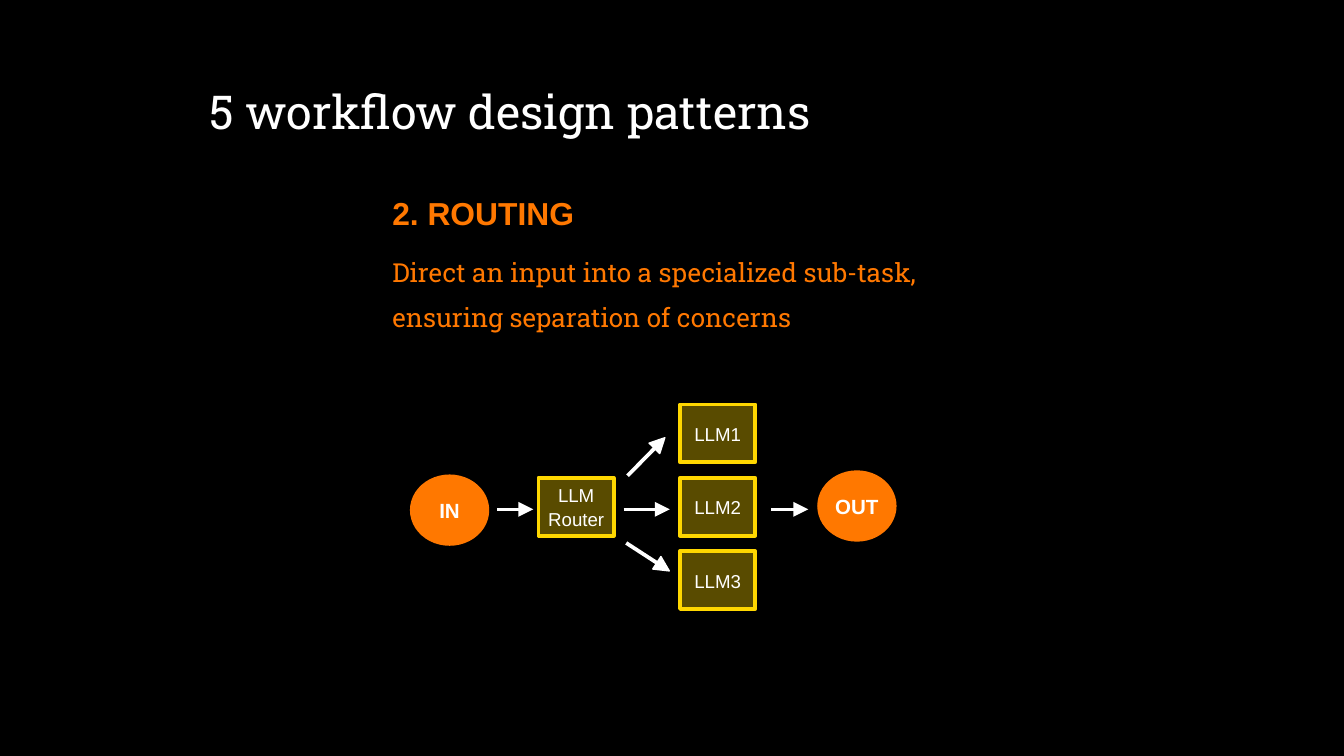
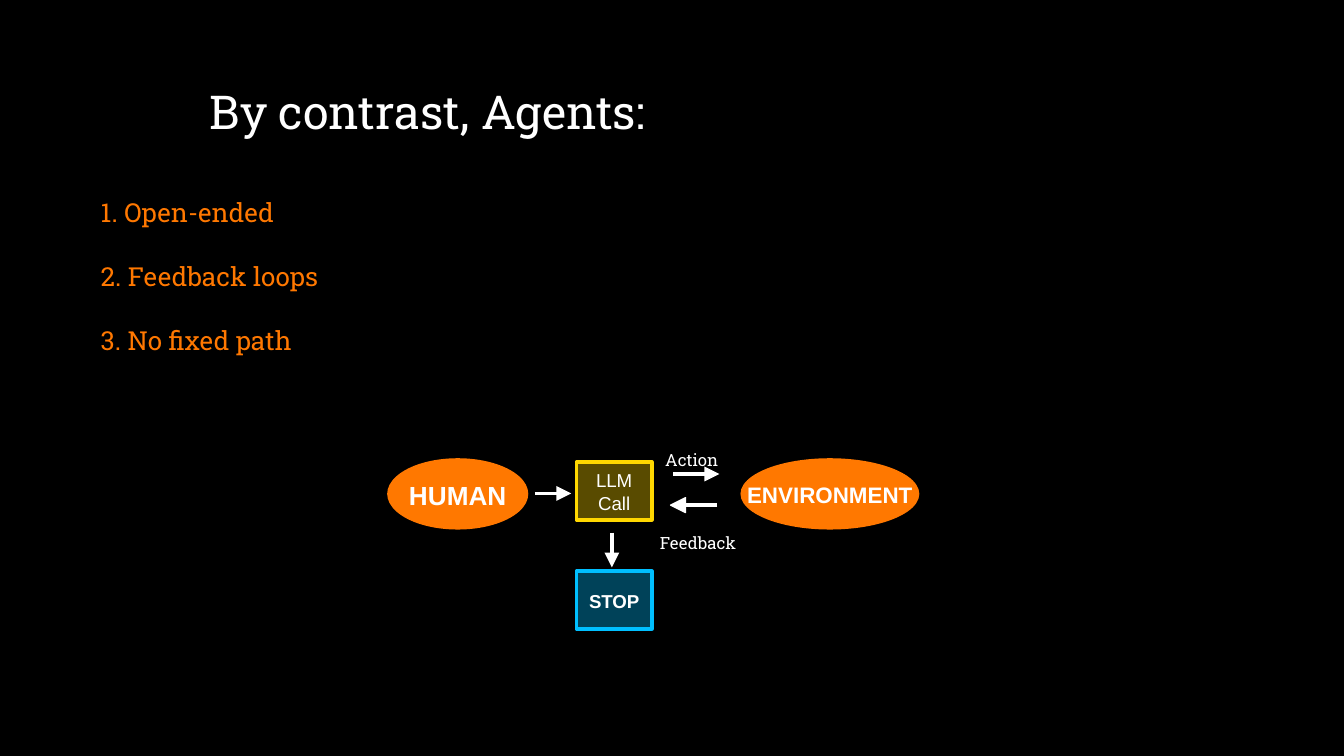
from dataclasses import dataclass
from math import atan2, degrees

from lxml.etree import SubElement
from pptx import Presentation
from pptx.dml.color import RGBColor
from pptx.enum.shapes import MSO_CONNECTOR, MSO_SHAPE
from pptx.enum.text import MSO_ANCHOR, PP_ALIGN
from pptx.oxml.ns import qn
from pptx.util import Pt


@dataclass(frozen=True)
class Theme:
    black: str = "000000"
    white: str = "FFFFFF"
    orange: str = "FF7800"
    gold: str = "FFD700"
    blue: str = "00BFFF"
    serif: str = "Roboto Slab"
    sans: str = "Arial"
    title: int = 25
    heading: int = 17
    body: int = 14
    node: int = 11
    wide_node: int = 12
    box: int = 10
    note: int = 9
    line: float = 2
    outline: float = 0.75
    tint: int = 35


class Slides:
    box_width, box_height = 40.3, 31
    oval_height = 38.2
    head = 8

    def __init__(self, theme):
        self.theme = theme
        self.deck = Presentation()
        self.deck.slide_width, self.deck.slide_height = Pt(720), Pt(405)
        self.page = None

    def start(self, title):
        self.page = self.deck.slides.add_slide(self.deck.slide_layouts[6])
        fill = self.page.background.fill
        fill.solid()
        fill.fore_color.rgb = RGBColor.from_string(self.theme.black)
        self.text(title, 112.3, 40.3, 582.5, 28, self.theme.title,
                  color=self.theme.white, spacing=1.14)

    def fill_text(self, shape, text, size, color, font, bold, spacing):
        frame = shape.text_frame
        frame.margin_left = frame.margin_right = 0
        frame.margin_top = frame.margin_bottom = 0
        para = frame.paragraphs[0]
        para.text = text
        para.line_spacing = spacing
        para.font.size = Pt(size)
        para.font.name = font
        para.font.bold = bold
        para.font.color.rgb = RGBColor.from_string(color)
        return para

    def text(self, text, left, top, width, height, size, color=None,
             font=None, bold=False, spacing=1.42):
        box = self.page.shapes.add_textbox(Pt(left), Pt(top), Pt(width), Pt(height))
        box.text_frame.word_wrap = True
        self.fill_text(box, text, size, color or self.theme.orange,
                       font or self.theme.serif, bold, spacing)

    def shape(self, kind, left, top, width, height, color):
        shape = self.page.shapes.add_shape(kind, Pt(left), Pt(top), Pt(width), Pt(height))
        shape.shadow.inherit = False
        shape.fill.solid()
        shape.fill.fore_color.rgb = RGBColor.from_string(color)
        shape.line.fill.background()
        return shape

    def outline(self, shape, color, width):
        shape.line.color.rgb = RGBColor.from_string(color)
        shape.line.width = Pt(width)

    def label(self, shape, text, size, bold):
        shape.text_frame.word_wrap = False
        shape.text_frame.vertical_anchor = MSO_ANCHOR.MIDDLE
        para = self.fill_text(shape, text, size, self.theme.white,
                              self.theme.sans, bold, 1.05)
        para.alignment = PP_ALIGN.CENTER

    def oval(self, text, left, top, width, size):
        shape = self.shape(MSO_SHAPE.OVAL, left, top, width, self.oval_height,
                           self.theme.orange)
        self.label(shape, text, size, True)

    def box(self, text, left, top, color=None, bold=False):
        color = color or self.theme.gold
        shape = self.shape(MSO_SHAPE.RECTANGLE, left, top,
                           self.box_width, self.box_height, color)
        tone = shape._element.spPr.find(qn("a:solidFill"))[0]
        SubElement(tone, qn("a:alpha"), val=str(self.theme.tint * 1000))
        self.outline(shape, color, self.theme.line)
        self.label(shape, text, self.theme.box, bold)

    def arrow(self, x1, y1, x2, y2, outlined=False):
        line = self.page.shapes.add_connector(
            MSO_CONNECTOR.STRAIGHT, Pt(x1), Pt(y1), Pt(x2), Pt(y2))
        self.outline(line, self.theme.white, self.theme.line)
        SubElement(line._element.spPr, qn("a:effectLst"))
        tip = self.shape(MSO_SHAPE.ISOSCELES_TRIANGLE, x2 - self.head / 2,
                         y2 - self.head / 2, self.head, self.head, self.theme.white)
        tip.rotation = degrees(atan2(y2 - y1, x2 - x1)) + 90
        if outlined:
            self.outline(tip, self.theme.white, self.theme.outline)


def routing(slides):
    theme = slides.theme
    slides.start("5 workflow design patterns")
    slides.text("2. ROUTING", 210.2, 103, 283.7, 18, theme.heading,
                font=theme.sans, bold=True, spacing=1.05)
    slides.text("Direct an input into a specialized sub-task,\vensuring separation of concerns",
                210.2, 130.3, 283.7, 32.4, theme.body)
    slides.oval("IN", 219.6, 254.2, 42.5, theme.node)
    slides.oval("OUT", 437.8, 252, 42.5, theme.node)
    slides.box("LLM\vRouter", 288.5, 256)
    for row in range(3):
        slides.box(f"LLM{row + 1}", 364.3, 216.7 + row * 39.3)
    for start, end in ((266.4, 281.7), (334.1, 354.8), (413.3, 429)):
        slides.arrow(start, 272.9, end, 272.9)
    slides.arrow(336.2, 254.9, 353.4, 237.4, outlined=True)
    slides.arrow(335.5, 290.9, 355.2, 303.7, outlined=True)


def agents(slides):
    theme = slides.theme
    slides.start("By contrast, Agents:")
    for row, trait in enumerate(("Open-ended", "Feedback loops", "No fixed path")):
        slides.text(f"{row + 1}. {trait}", 54, 97.9 + row * 34.5, 283.7, 19.4, theme.body)
    slides.oval("HUMAN", 207.4, 245.5, 75.6, theme.body)
    slides.oval("ENVIRONMENT", 396.7, 245.5, 95.8, theme.wide_node)
    slides.box("LLM\vCall", 308.9, 247.5)
    slides.box("STOP", 308.9, 306, theme.blue, bold=True)
    slides.arrow(286.6, 264.4, 302, 264.4)
    slides.arrow(360.7, 254, 381.4, 254)
    slides.arrow(384.2, 270.6, 363.3, 270.6, outlined=True)
    slides.arrow(327.8, 285.3, 327.8, 300)
    for note, left, top in (("Action", 356.4, 236.2), ("Feedback", 353.5, 280.8)):
        slides.text(note, left, top, 47.5, 9.4, theme.note, color=theme.white)


def main():
    slides = Slides(Theme())
    routing(slides)
    agents(slides)
    slides.deck.save("out.pptx")


if __name__ == "__main__":
    main()
